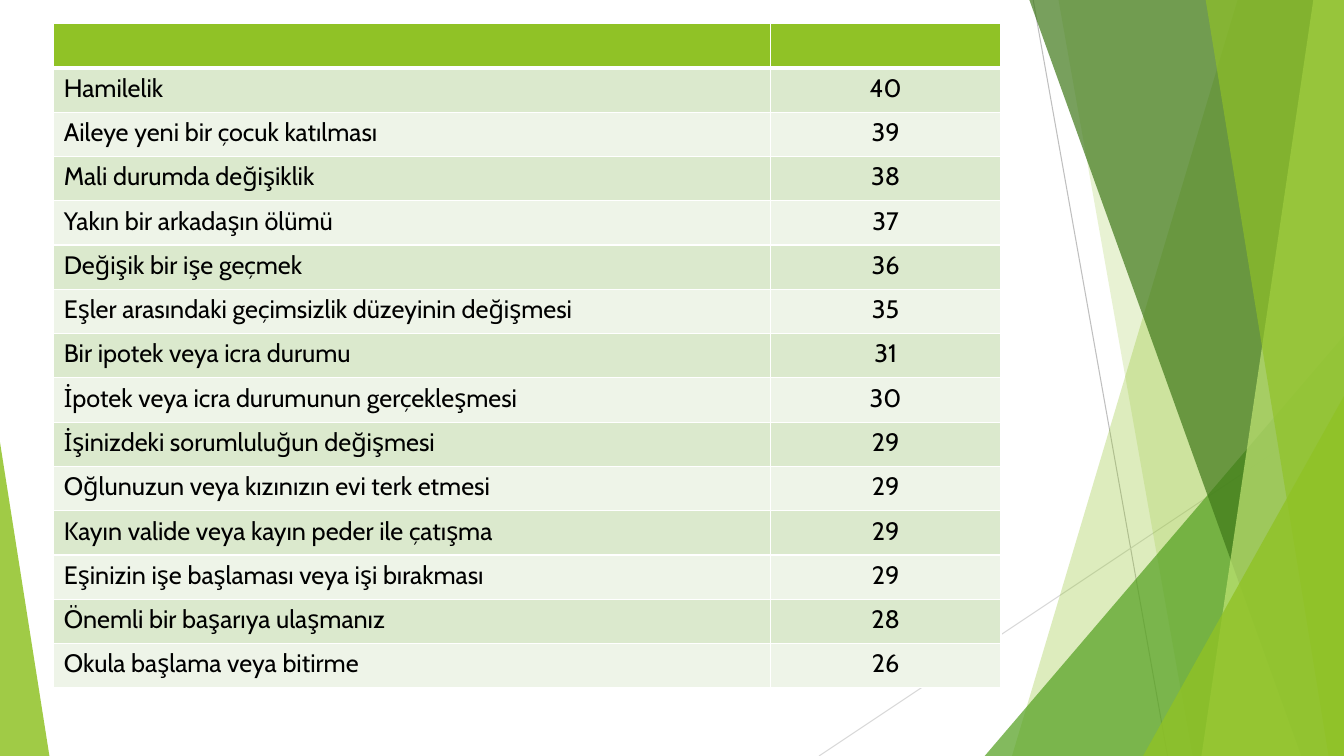
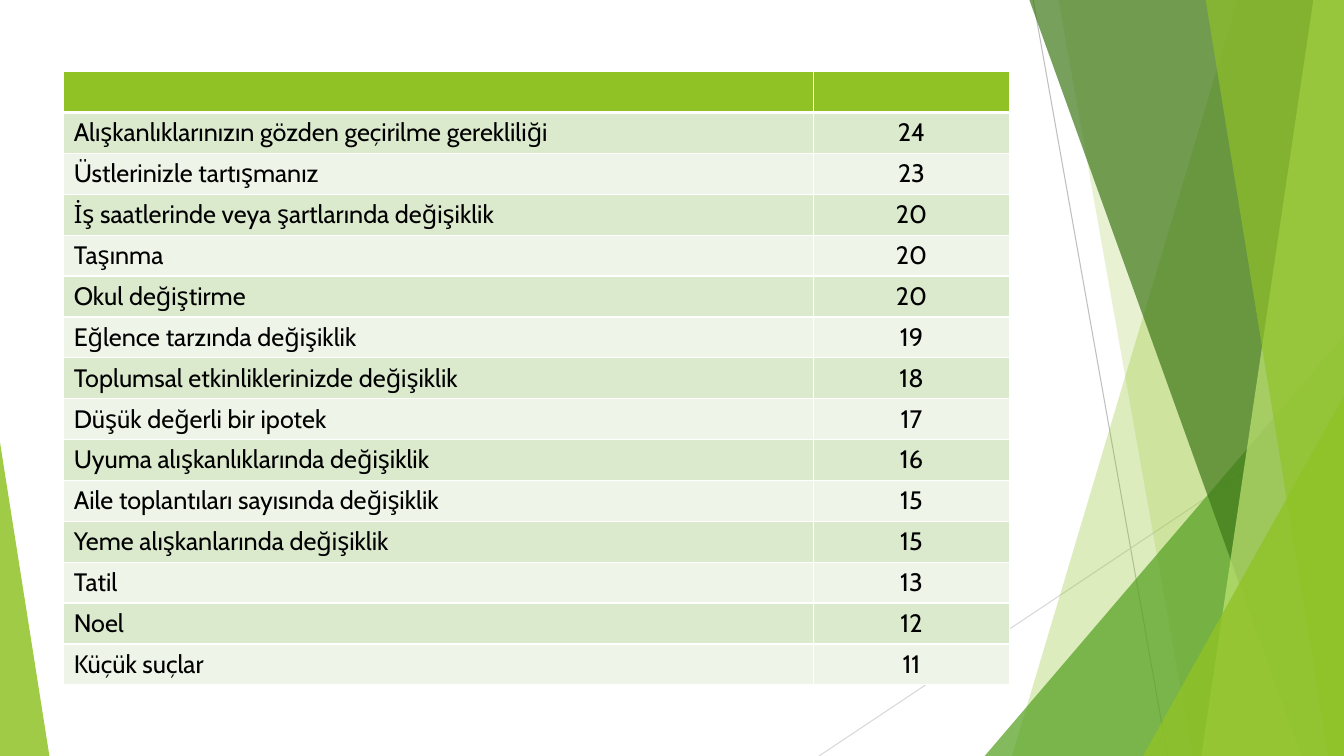
import dataclasses

import lxml.etree
import pptx
import pptx.dml.color
import pptx.enum.shapes
import pptx.enum.text
import pptx.oxml.ns
import pptx.util

Pt = pptx.util.Pt
qn = pptx.oxml.ns.qn


@dataclasses.dataclass(frozen=True)
class Theme:
    lime: str = "90C226"
    pale_lime: str = "C0E474"
    green: str = "54A021"
    dark_green: str = "3F7819"
    light_gray: str = "D9D9D9"
    gray: str = "BFBFBF"
    white: str = "FFFFFF"
    black: str = "000000"
    odd_row: str = "DBE9CD"
    even_row: str = "EEF4E8"
    font: str = "Cabin"
    text_size: float = 18
    thin_line: float = 0.75
    cell_line: float = 1
    header_line: float = 3


WIDTH, HEIGHT = 960, 540
BAND_TOP = -0.6

PREGNANCY_TO_SCHOOL = [
    ("Hamilelik", 40),
    ("Aileye yeni bir çocuk katılması", 39),
    ("Mali durumda değişiklik", 38),
    ("Yakın bir arkadaşın ölümü", 37),
    ("Değişik bir işe geçmek", 36),
    ("Eşler arasındaki geçimsizlik düzeyinin değişmesi", 35),
    ("Bir ipotek veya icra durumu", 31),
    ("İpotek veya icra durumunun gerçekleşmesi", 30),
    ("İşinizdeki sorumluluğun değişmesi", 29),
    ("Oğlunuzun veya kızınızın evi terk etmesi", 29),
    ("Kayın valide veya kayın peder ile çatışma", 29),
    ("Eşinizin işe başlaması veya işi bırakması", 29),
    ("Önemli bir başarıya ulaşmanız", 28),
    ("Okula başlama veya bitirme", 26),
]

HABITS_TO_OFFENCES = [
    ("Alışkanlıklarınızın gözden geçirilme gerekliliği", 24),
    ("Üstlerinizle tartışmanız", 23),
    ("İş saatlerinde veya şartlarında değişiklik", 20),
    ("Taşınma", 20),
    ("Okul değiştirme", 20),
    ("Eğlence tarzında değişiklik", 19),
    ("Toplumsal etkinliklerinizde değişiklik", 18),
    ("Düşük değerli bir ipotek", 17),
    ("Uyuma alışkanlıklarında değişiklik", 16),
    ("Aile toplantıları sayısında değişiklik", 15),
    ("Yeme alışkanlarında değişiklik", 15),
    ("Tatil", 13),
    ("Noel", 12),
    ("Küçük suçlar", 11),
]


def rgb(color):
    return pptx.dml.color.RGBColor.from_string(color)


class Deck:
    def __init__(self, theme):
        self.theme = theme
        self.presentation = pptx.Presentation()
        self.presentation.slide_width = Pt(WIDTH)
        self.presentation.slide_height = Pt(HEIGHT)
        self.slide = None

    def add_slide(self):
        self.slide = self.presentation.slides.add_slide(self.presentation.slide_layouts[6])
        self.add_backdrop()

    def add_backdrop(self):
        theme = self.theme
        self.add_line((738, 0), (834, HEIGHT), theme.gray)
        self.add_line((WIDTH, 290), (585, HEIGHT), theme.light_gray)
        self.add_band(884.2, 722.9, theme.lime, 30)
        self.add_band(756, 851.8, theme.lime, 20)
        self.add_triangle(703.4, 256.6, 300.2, 1, theme.green, 72)
        self.add_band(735.1, 929.5, theme.dark_green, 70)
        self.add_band(938.2, 858.2, theme.pale_lime, 70)
        self.add_band(861.1, 949, theme.lime, 65)
        self.add_triangle(816.5, 143.5, 257, 1, theme.lime, 80)
        self.add_triangle(0, 35.3, 224, 0, theme.lime, 85)

    def add_line(self, start, end, color):
        line = self.slide.shapes.add_connector(
            pptx.enum.shapes.MSO_CONNECTOR.STRAIGHT, *map(Pt, start + end))
        line.line.color.rgb = rgb(color)
        line.line.width = Pt(self.theme.thin_line)
        lxml.etree.SubElement(line.element.spPr, qn("a:effectLst"))

    def add_band(self, top_left, bottom_left, color, opacity):
        """Fill the area from a slanted left edge to the right slide edge."""
        corners = [(top_left, BAND_TOP), (WIDTH, BAND_TOP),
                   (WIDTH, HEIGHT), (bottom_left, HEIGHT)]
        points = [(Pt(x), Pt(y)) for x, y in corners]
        builder = self.slide.shapes.build_freeform(*points[0])
        builder.add_line_segments(points[1:], close=True)
        self.paint(builder.convert_to_shape(), color, opacity)

    def add_triangle(self, left, width, height, apex, color, opacity):
        """Stand a triangle on the bottom edge; apex 0 is left, 1 is right."""
        triangle = self.slide.shapes.add_shape(
            pptx.enum.shapes.MSO_SHAPE.ISOSCELES_TRIANGLE,
            Pt(left), Pt(HEIGHT - height), Pt(width), Pt(height))
        triangle.adjustments[0] = apex
        self.paint(triangle, color, opacity)

    def paint(self, shape, color, opacity):
        shape.shadow.inherit = False
        shape.line.fill.background()
        shape.fill.solid()
        shape.fill.fore_color.rgb = rgb(color)
        fill_color = shape.element.spPr.find(qn("a:solidFill")).find(qn("a:srgbClr"))
        lxml.etree.SubElement(fill_color, qn("a:alpha"), val=str(opacity * 1000))

    def add_score_table(self, left, top, column_widths, row_height, events):
        """Draw an empty header row, then one row per event and its score."""
        rows = [("", "")] + events
        table = self.slide.shapes.add_table(
            len(rows), len(column_widths), Pt(left), Pt(top),
            Pt(sum(column_widths)), Pt(row_height * len(rows))).table
        table.horz_banding = False
        for column, width in zip(table.columns, column_widths):
            column.width = Pt(width)
        alignments = (pptx.enum.text.PP_ALIGN.LEFT, pptx.enum.text.PP_ALIGN.CENTER)
        for row_index, values in enumerate(rows):
            table.rows[row_index].height = Pt(row_height)
            for column_index, value in enumerate(values):
                cell = table.cell(row_index, column_index)
                self.style_cell(cell, row_index)
                self.write_cell(cell, str(value), alignments[column_index])

    def style_cell(self, cell, row_index):
        theme = self.theme
        borders = dict.fromkeys(("lnL", "lnR", "lnT", "lnB"), theme.cell_line)
        if row_index == 0:
            borders["lnB"] = theme.header_line
            color = theme.lime
        else:
            color = theme.odd_row if row_index % 2 else theme.even_row
        if row_index == 1:
            borders["lnT"] = theme.header_line
        properties = cell._tc.get_or_add_tcPr()
        for side, width in borders.items():
            border = lxml.etree.SubElement(properties, qn(f"a:{side}"), w=str(Pt(width)))
            fill = lxml.etree.SubElement(border, qn("a:solidFill"))
            lxml.etree.SubElement(fill, qn("a:srgbClr"), val=theme.white)
        cell.fill.solid()
        cell.fill.fore_color.rgb = rgb(color)

    def write_cell(self, cell, text, alignment):
        if not text:
            return
        paragraph = cell.text_frame.paragraphs[0]
        paragraph.alignment = alignment
        run = paragraph.add_run()
        run.text = text
        font_format = {"name": self.theme.font, "size": Pt(self.theme.text_size), "bold": False}
        for name, value in font_format.items():
            setattr(run.font, name, value)
        run.font.color.rgb = rgb(self.theme.black)


def main():
    deck = Deck(Theme())
    deck.add_slide()
    deck.add_score_table(38.4, 16.8, (511.8, 164.8), 31.65, PREGNANCY_TO_SCHOOL)
    deck.add_slide()
    deck.add_score_table(45.5, 51.2, (535.5, 140.2), 29.2, HABITS_TO_OFFENCES)
    deck.presentation.save("out.pptx")


if __name__ == "__main__":
    main()
